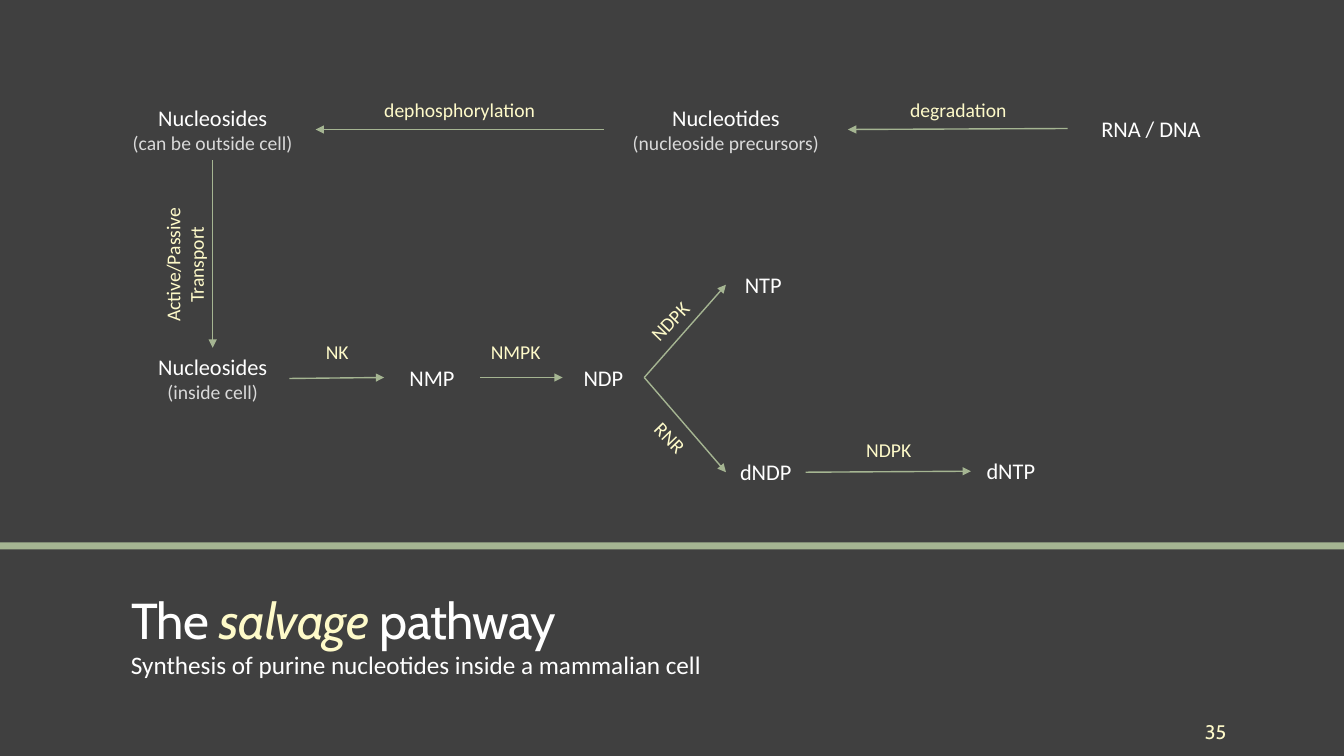
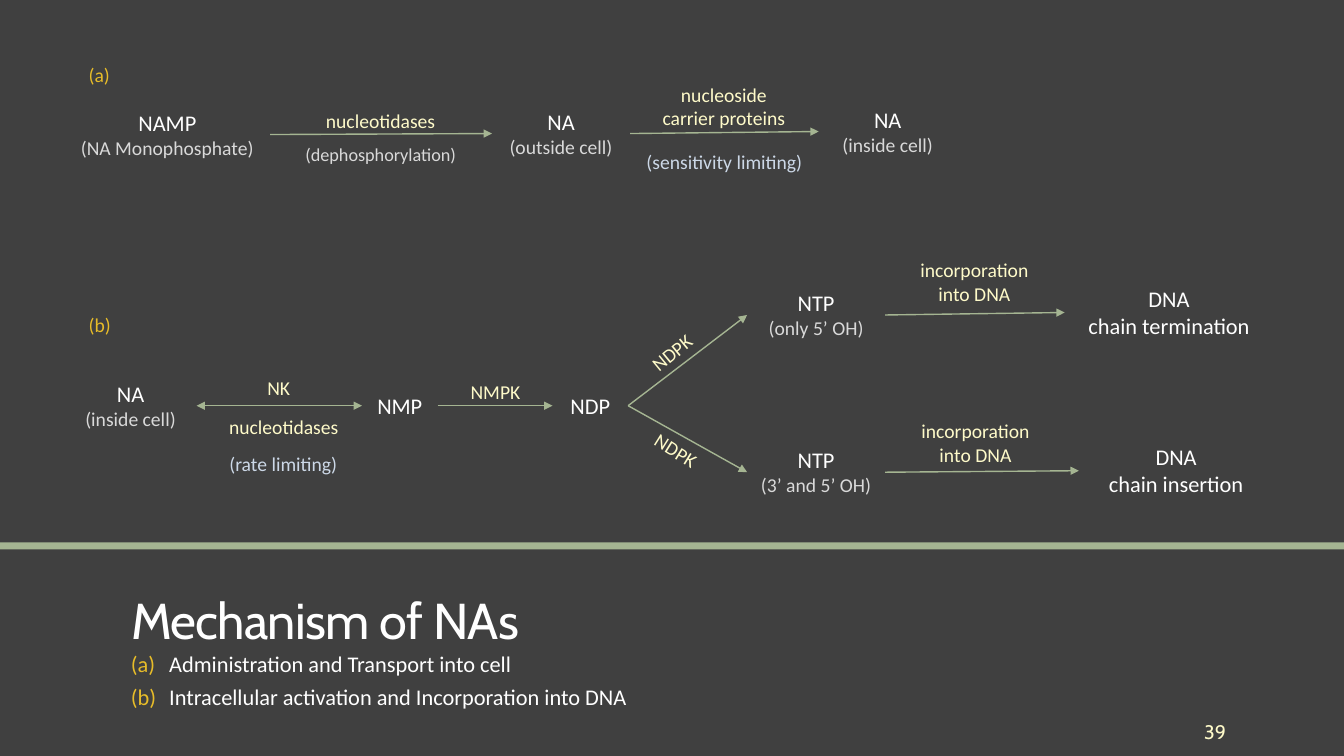
"""Build two slides on the salvage pathway and the mechanism of NAs."""
from lxml.etree import SubElement
from pptx import Presentation
from pptx.dml.color import RGBColor
from pptx.enum.shapes import MSO_CONNECTOR, MSO_SHAPE
from pptx.enum.text import MSO_ANCHOR, MSO_AUTO_SIZE, PP_ALIGN
from pptx.oxml.ns import qn
from pptx.util import Pt

PX = 9144
TOP, LEFT, BOTTOM, RIGHT = range(4)
COLORS = {
    "background": "404040",
    "green": "A5B592",
    "white": "FFFFFF",
    "cream": "FEFAC9",
    "grey": "D9D9D9",
    "blue": "CCD8E7",
    "gold": "E7BC29",
}
STYLES = {
    "node": ("Calibri", 16, "white"),
    "detail": ("Calibri", 14, "grey"),
    "step": ("Calibri", 13, "grey"),
    "label": ("Calibri", 14, "cream"),
    "limit": ("Calibri", 14, "blue"),
    "marker": ("Calibri", 14, "gold"),
    "subtitle": ("Calibri", 18, "white"),
    "number": ("Cabin", 14, "cream"),
    "title": ("Cabin", 36, "white"),
}

SLIDES = [
    {
        "title": [("The ", False), ("salvage", True), (" pathway", False)],
        "subtitle": [("Synthesis of purine nucleotides inside a mammalian cell", "subtitle")],
        "numbered": False,
        "number": "35",
        "nodes": {
            "nucleotides": ((599, 98, 242, 61), [("Nucleotides", "node"), ("(nucleoside precursors)", "detail")]),
            "acids": ((1059, 109, 165, 37), [("RNA / DNA", "node")]),
            "outside": ((109, 98, 204, 61), [("Nucleosides", "node"), ("(can be outside cell)", "detail")]),
            "inside": ((135, 345, 152, 61), [("Nucleosides", "node"), ("(inside cell)", "detail")]),
            "NMP": ((381, 356, 95, 37), [("NMP", "node")]),
            "NDP": ((558, 356, 81, 37), [("NDP", "node")]),
            "NTP": ((720, 264, 74, 37), [("NTP", "node")]),
            "dNDP": ((720, 450, 79, 37), [("dNDP", "node")]),
            "dNTP": ((963, 449, 79, 37), [("dNTP", "node")]),
        },
        "arrows": [
            ("acids", LEFT, "nucleotides", RIGHT),
            ("nucleotides", LEFT, "outside", RIGHT),
            ("outside", BOTTOM, "inside", TOP),
            ("inside", RIGHT, "NMP", LEFT),
            ("NMP", RIGHT, "NDP", LEFT),
            ("NDP", RIGHT, "NTP", LEFT),
            ("NDP", RIGHT, "dNDP", LEFT),
            ("dNDP", RIGHT, "dNTP", LEFT),
        ],
        "two_way": [],
        "labels": [
            ((868, 92, 165, 34), [("degradation", "label")], 0, 1),
            ((365, 92, 182, 34), [("dephosphorylation", "label")], 0, 1),
            ((112, 234, 142, 57), [("Active/Passive Transport", "label")], 270, 1),
            ((299, 332, 71, 34), [("NK", "label")], 0, 1),
            ((476, 332, 71, 34), [("NMPK", "label")], 0, 1),
            ((629, 302, 71, 34), [("NDPK", "label")], 313.9, 1),
            ((629, 417, 71, 34), [("RNR", "label")], 45.9, 1),
            ((846, 430, 71, 34), [("NDPK", "label")], 0, 1),
        ],
        "markers": [],
    },
    {
        "title": [("Mechanism of NAs", False)],
        "subtitle": [
            ("Administration and Transport into cell", "node"),
            ("Intracellular activation and Incorporation into DNA", "node"),
        ],
        "numbered": True,
        "number": "39",
        "nodes": {
            "NAMP": ((64, 103, 204, 61), [("NAMP", "node"), ("(NA Monophosphate)", "detail")]),
            "outside": ((488, 102, 137, 61), [("NA", "node"), ("(outside cell)", "detail")]),
            "carried": ((812, 100, 137, 61), [("NA", "node"), ("(inside cell)", "detail")]),
            "inside": ((64, 372, 131, 61), [("NA", "node"), ("(inside cell)", "detail")]),
            "NMP": ((359, 384, 75, 37), [("NMP", "node")]),
            "NDP": ((548, 384, 75, 37), [("NDP", "node")]),
            "NTP 5": ((741, 282, 137, 61), [("NTP", "node"), ("(only 5’ OH)", "detail")]),
            "NTP 3 5": ((741, 438, 137, 61), [("NTP", "node"), ("(3’ and 5’ OH)", "detail")]),
            "termination": ((1056, 278, 207, 64), [("DNA", "node"), ("chain termination", "node")]),
            "insertion": ((1070, 435, 193, 64), [("DNA", "node"), ("chain insertion", "node")]),
        },
        "arrows": [
            ("NAMP", RIGHT, "outside", LEFT),
            ("outside", RIGHT, "carried", LEFT),
            ("inside", RIGHT, "NMP", LEFT),
            ("NMP", RIGHT, "NDP", LEFT),
            ("NDP", RIGHT, "NTP 5", LEFT),
            ("NDP", RIGHT, "NTP 3 5", LEFT),
            ("NTP 5", RIGHT, "termination", LEFT),
            ("NTP 3 5", RIGHT, "insertion", LEFT),
        ],
        "two_way": ["inside"],
        "labels": [
            ((282, 91, 191, 75), [("nucleotidases", "label"), ("(dephosphorylation)", "step")], 0, 1.5),
            ((645, 77, 146, 57), [("nucleoside carrier proteins", "label")], 0, 1),
            ((616, 144, 205, 34), [("(sensitivity limiting)", "limit")], 0, 1),
            ((244, 368, 65, 34), [("NK", "label")], 0, 1),
            ((214, 395, 135, 42), [("nucleotidases", "label")], 0, 1.5),
            ((205, 443, 152, 34), [("(rate limiting)", "limit")], 0, 1),
            ((450, 372, 83, 34), [("NMPK", "label")], 0, 1),
            ((625, 333, 83, 34), [("NDPK", "label")], 320.6, 1),
            ((629, 430, 83, 34), [("NDPK", "label")], 31.9, 1),
            ((898, 251, 137, 57), [("incorporation into DNA", "label")], 0, 1),
            ((899, 411, 137, 57), [("incorporation into DNA", "label")], 0, 1),
        ],
        "markers": [((78, 58, 51, 34), "(a)"), ((78, 306, 51, 34), "(b)")],
    },
]


def set_font(font, style):
    """Apply a named text style."""
    name, size, color = STYLES[style]
    font.name = name
    font.size = Pt(size)
    font.color.rgb = RGBColor.from_string(COLORS[color])


def add_text(slide, box, lines, alignment=PP_ALIGN.CENTER, spacing=1, numbered=False):
    """Add a text box with one styled paragraph per line."""
    shape = slide.shapes.add_textbox(*(length * PX for length in box))
    frame = shape.text_frame
    frame.word_wrap = True
    frame.text = "\n".join(text for text, style in lines)
    for paragraph, (text, style) in zip(frame.paragraphs, lines):
        paragraph.alignment = alignment
        paragraph.line_spacing = spacing
        if numbered:
            properties = paragraph._p.get_or_add_pPr()
            properties.set("marL", str(38 * PX))
            properties.set("indent", str(-38 * PX))
            bullet_color = SubElement(properties, qn("a:buClr"))
            SubElement(bullet_color, qn("a:srgbClr"), val=COLORS["gold"])
            SubElement(properties, qn("a:buFont"), typeface="+mj-lt")
            SubElement(properties, qn("a:buAutoNum"), type="alphaLcParenBoth")
        set_font(paragraph.font, style)
    return shape


presentation = Presentation()
presentation.slide_width = 1333 * PX
presentation.slide_height = 750 * PX
background = presentation.slide_master.background.fill
background.solid()
background.fore_color.rgb = RGBColor.from_string(COLORS["background"])

for content in SLIDES:
    slide = presentation.slides.add_slide(presentation.slide_layouts[5])

    band = slide.shapes.add_shape(MSO_SHAPE.RECTANGLE, 0, 538 * PX, presentation.slide_width, 7 * PX)
    band.shadow.inherit = False
    band.fill.solid()
    band.fill.fore_color.rgb = RGBColor.from_string(COLORS["green"])
    band.line.fill.background()

    title = slide.shapes.title
    title.left, title.top, title.width, title.height = (length * PX for length in (120, 555, 1106, 90))
    frame = title.text_frame
    frame.auto_size = MSO_AUTO_SIZE.NONE
    frame.vertical_anchor = MSO_ANCHOR.BOTTOM
    frame.margin_top = frame.margin_bottom = 0
    paragraph = frame.paragraphs[0]
    paragraph.alignment = PP_ALIGN.LEFT
    paragraph.line_spacing = 0.85
    set_font(paragraph.font, "title")
    for text, emphasized in content["title"]:
        run = paragraph.add_run()
        run.text = text
        run._r.get_or_add_rPr().set("spc", "-50")
        if emphasized:
            run.font.italic = True
            run.font.color.rgb = RGBColor.from_string(COLORS["cream"])

    subtitle = add_text(slide, (120, 648, 1106, 65), content["subtitle"], PP_ALIGN.LEFT, 0.9, content["numbered"])
    subtitle.text_frame.margin_top = subtitle.text_frame.margin_bottom = 0
    for paragraph in subtitle.text_frame.paragraphs:
        paragraph.space_after = Pt(6)

    number = add_text(slide, (1083, 706, 143, 40), [(content["number"], "number")], PP_ALIGN.RIGHT)
    number.text_frame.vertical_anchor = MSO_ANCHOR.MIDDLE

    nodes = {name: add_text(slide, box, lines) for name, (box, lines) in content["nodes"].items()}

    for start, start_side, end, end_side in content["arrows"]:
        arrow = slide.shapes.add_connector(MSO_CONNECTOR.STRAIGHT, 0, 0, 0, 0)
        arrow.begin_connect(nodes[start], start_side)
        arrow.end_connect(nodes[end], end_side)
        arrow.line.width = Pt(1)
        arrow.line.color.rgb = RGBColor.from_string(COLORS["green"])
        properties = arrow._element.spPr
        line = properties.find(qn("a:ln"))
        if start in content["two_way"]:
            SubElement(line, qn("a:headEnd"), type="triangle")
        SubElement(line, qn("a:tailEnd"), type="triangle")
        SubElement(properties, qn("a:effectLst"))

    for box, lines, rotation, spacing in content["labels"]:
        label = add_text(slide, box, lines, spacing=spacing)
        label.rotation = rotation

    for box, text in content["markers"]:
        add_text(slide, box, [(text, "marker")], PP_ALIGN.LEFT)

presentation.save("out.pptx")
